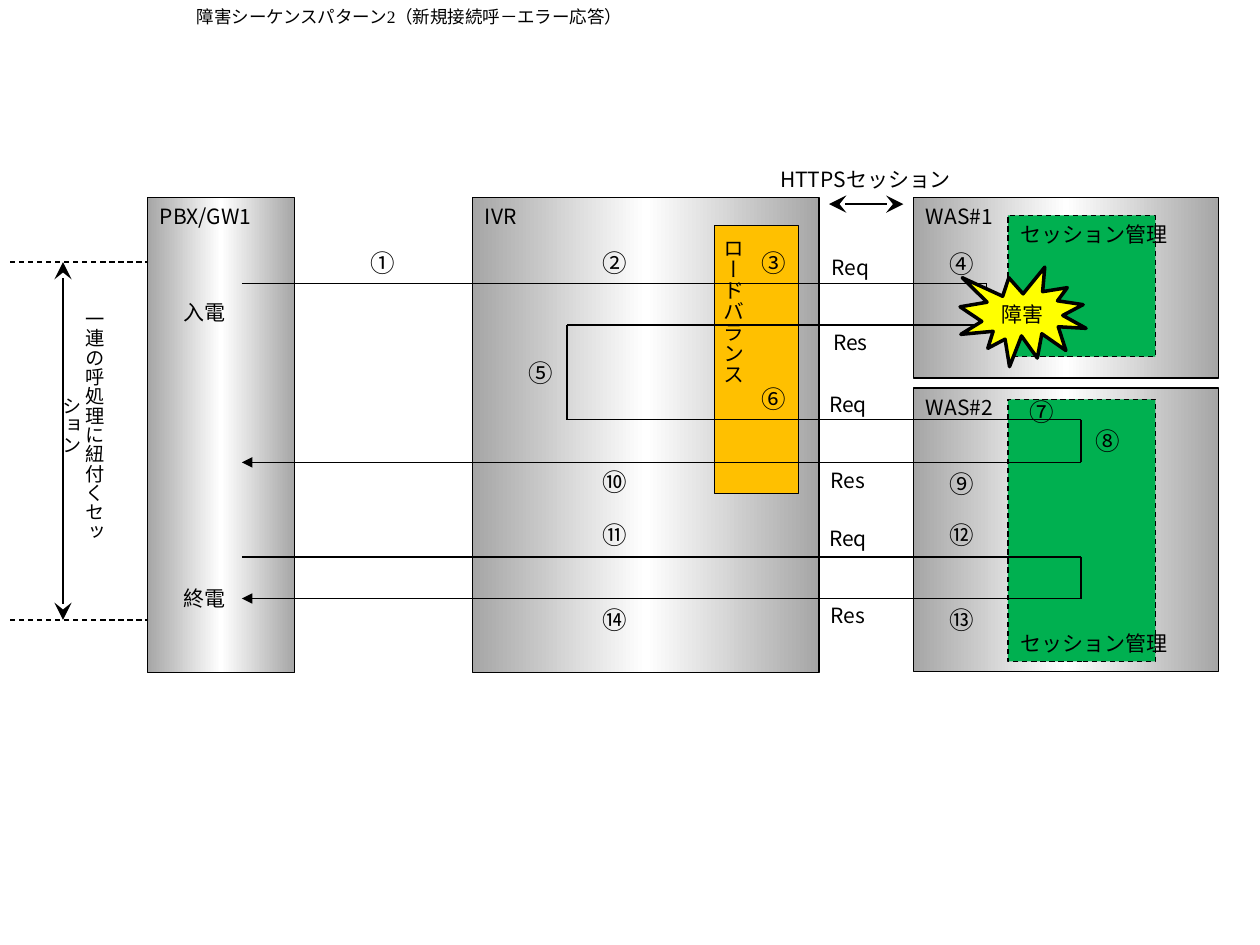
from copy import deepcopy
from itertools import pairwise

from pptx import Presentation
from pptx.dml.color import RGBColor
from pptx.enum.dml import MSO_LINE
from pptx.enum.shapes import MSO_CONNECTOR, MSO_SHAPE
from pptx.enum.text import MSO_ANCHOR, MSO_AUTO_SIZE, PP_ALIGN
from pptx.oxml.ns import qn
from pptx.util import Inches, Pt

BLACK = RGBColor(0x00, 0x00, 0x00)
GRAY = RGBColor(0xA6, 0xA6, 0xA6)
WHITE = RGBColor(0xFF, 0xFF, 0xFF)
GREEN = RGBColor(0x00, 0xB0, 0x50)
AMBER = RGBColor(0xFF, 0xC0, 0x00)
YELLOW = RGBColor(0xFF, 0xFF, 0x00)


class Board:
    """Holds the text style and the slide being drawn."""

    def __init__(self, slide, font="Noto Sans CJK JP", size=12):
        self.shapes = slide.shapes
        self.font = font
        self.size = size

    def words(self, shape, text, size=None, font=None, align=PP_ALIGN.CENTER,
              anchor=MSO_ANCHOR.TOP, wrap=True, tall=False):
        frame = shape.text_frame
        frame.word_wrap = wrap
        frame.vertical_anchor = anchor
        if tall:
            shape.element.find(".//" + qn("a:bodyPr")).set("vert", "eaVert")
        para = frame.paragraphs[0]
        para.alignment = align
        run = para.add_run()
        run.text = text
        run.font.size = Pt(size or self.size)
        run.font.name = font or self.font
        run.font.color.rgb = BLACK
        # East Asian glyphs need their own typeface
        latin = shape.element.find(".//" + qn("a:latin"))
        latin.addnext(latin.makeelement(qn("a:ea"), {"typeface": self.font}))

    def label(self, text, x, y, w, h, **style):
        box = self.shapes.add_textbox(Inches(x), Inches(y), Inches(w), Inches(h))
        self.words(box, text, **style)
        box.text_frame.auto_size = MSO_AUTO_SIZE.SHAPE_TO_FIT_TEXT

    def shape(self, text, x, y, w, h, fill=None, kind=MSO_SHAPE.RECTANGLE,
              width=0.75, dash=False, **style):
        """Draw a filled shape; without a fill colour it gets the metal sheen."""
        item = self.shapes.add_shape(kind, Inches(x), Inches(y), Inches(w), Inches(h))
        item.shadow.inherit = False
        item.line.color.rgb = BLACK
        item.line.width = Pt(width)
        if dash:
            item.line.dash_style = MSO_LINE.DASH
        if fill is None:
            self.sheen(item)
        else:
            item.fill.solid()
            item.fill.fore_color.rgb = fill
        self.words(item, text, **style)

    def sheen(self, item):
        item.fill.gradient()
        item.fill.gradient_angle = 0
        first = item.element.spPr.find(".//" + qn("a:gs"))
        first.addnext(deepcopy(first))
        for stop, place, color in zip(item.fill.gradient_stops, (0, 0.5, 1),
                                      (GRAY, WHITE, GRAY)):
            stop.position = place
            stop.color.rgb = color

    def line(self, start, end, head=None, tail=None, dash=False):
        wire = self.shapes.add_connector(
            MSO_CONNECTOR.STRAIGHT, *map(Inches, (*start, *end)))
        wire.line.color.rgb = BLACK
        wire.line.width = Pt(0.75)
        if dash:
            wire.line.dash_style = MSO_LINE.DASH
        props = wire.element.spPr
        props.append(props.makeelement(qn("a:effectLst"), {}))
        edge = props.find(qn("a:ln"))
        for tag, kind in (("a:headEnd", head), ("a:tailEnd", tail)):
            if kind:
                size = "lg" if kind == "stealth" else "med"
                edge.append(edge.makeelement(
                    qn(tag), {"type": kind, "w": size, "len": size}))

    def route(self, *points, tail=None):
        legs = list(pairwise(points))
        for leg in legs:
            self.line(*leg, tail=tail if leg == legs[-1] else None)


def main():
    deck = Presentation()
    deck.slide_width, deck.slide_height = Inches(10), Inches(7.5)
    board = Board(deck.slides.add_slide(deck.slide_layouts[6]))
    left = {"align": PP_ALIGN.LEFT, "wrap": False}

    # Title
    board.label("障害シーケンスパターン2（新規接続呼－エラー応答）", 0, 0, 6.5, 0.4,
                size=10, font="Times New Roman")

    # Servers
    for name, x, y, w, h in (("PBX/GW1", 1.17, 1.57, 1.17, 3.77),
                             ("IVR", 3.75, 1.57, 2.75, 3.77),
                             ("WAS#1", 7.25, 1.57, 2.42, 1.43),
                             ("WAS#2", 7.25, 3.08, 2.42, 2.25)):
        board.shape(name, x, y, w, h, **left)

    # Session stores and load balancer
    for y, h, anchor in ((1.71, 1.12, MSO_ANCHOR.TOP), (3.17, 2.08, MSO_ANCHOR.BOTTOM)):
        board.shape("セッション管理", 8, y, 1.17, h, GREEN, dash=True,
                    anchor=anchor, **left)
    board.shape("ロードバランス", 5.67, 1.79, 0.67, 2.13, AMBER,
                anchor=MSO_ANCHOR.BOTTOM, wrap=False, tall=True)

    # Span of the call
    top, base = 2.08, 4.92
    board.line((0.5, top), (0.5, base), head="stealth", tail="stealth")
    for y in (top, base):
        board.line((0.08, y), (1.17, y), dash=True)
    board.label("一連の呼処理に紐付くセッション", 0.5, 2.36, 0.39, 2.28, size=11, tall=True)

    # Call routes: failed try with retry, then hang-up
    start, turn, fault, end = 1.92, 4.5, 7.83, 8.58
    board.route((start, 2.25), (fault, 2.25), (fault, 2.58), (turn, 2.58),
                (turn, 3.33), (end, 3.33), (end, 3.67), (start, 3.67), tail="triangle")
    board.route((start, 4.42), (end, 4.42), (end, 4.75), (start, 4.75), tail="triangle")

    # Route labels
    for text, x, y in (("Req", 6.46, 1.97), ("Res", 6.46, 2.57),
                       ("Req", 6.44, 3.06), ("Res", 6.44, 3.66),
                       ("Req", 6.44, 4.12), ("Res", 6.44, 4.73),
                       ("入電", 1.33, 2.33), ("終電", 1.33, 4.6)):
        board.label(text, x, y, 0.58, 0.3)

    # Step numbers
    for mark, x, y in (("①", 2.83, 1.92), ("②", 4.67, 1.92), ("③", 5.93, 1.92),
                       ("④", 7.42, 1.93), ("⑤", 4.08, 2.79), ("⑥", 5.93, 3),
                       ("⑦", 8.06, 3.1), ("⑧", 8.58, 3.33), ("⑨", 7.42, 3.67),
                       ("⑩", 4.67, 3.66), ("⑪", 4.67, 4.08), ("⑫", 7.42, 4.08),
                       ("⑬", 7.42, 4.75), ("⑭", 4.67, 4.75)):
        board.label(mark, x, y, 0.42, 0.33, size=14)

    # Secure session
    board.line((6.58, 1.62), (7.17, 1.62), head="stealth", tail="stealth")
    board.label("HTTPSセッション", 6.02, 1.27, 1.7, 0.3)

    # Fault
    board.shape("障害", 7.62, 2.12, 1, 0.79, YELLOW, kind=MSO_SHAPE.EXPLOSION1,
                width=2, font="Calibri", anchor=MSO_ANCHOR.MIDDLE)

    deck.save("out.pptx")


if __name__ == "__main__":
    main()
